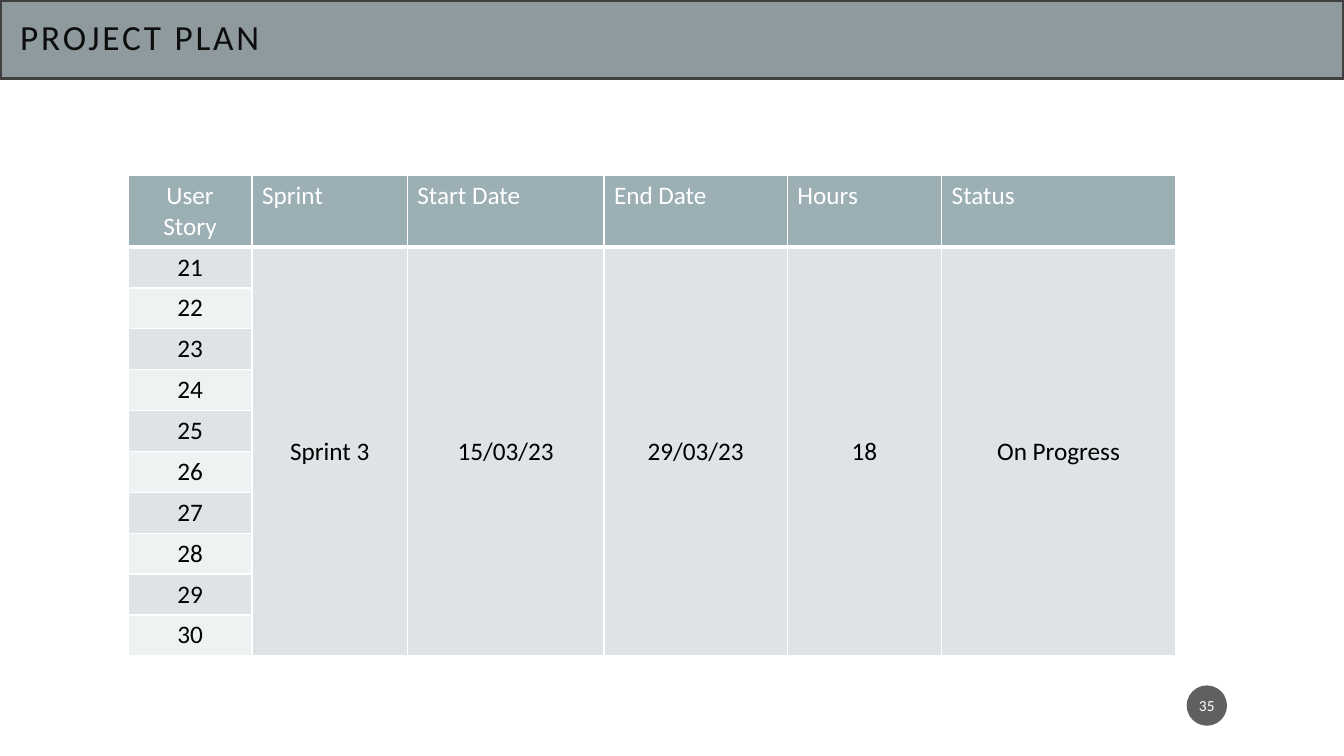
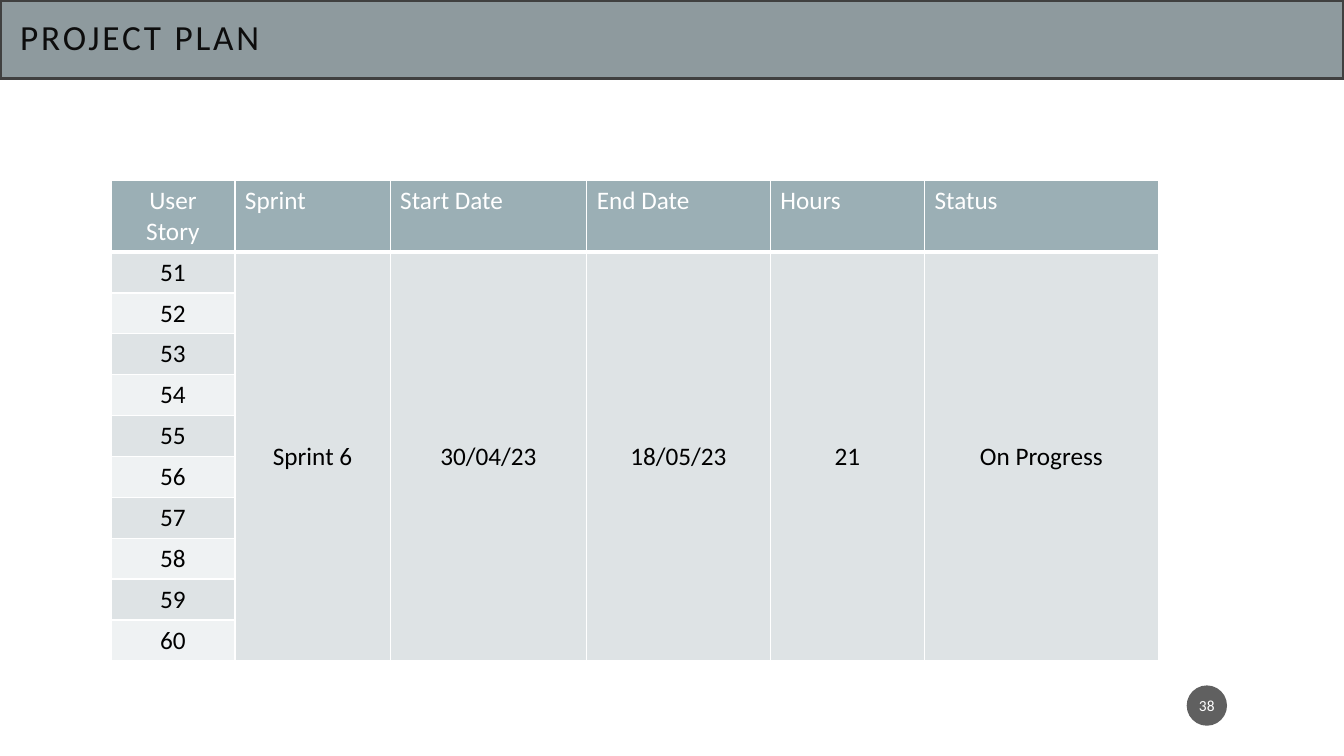
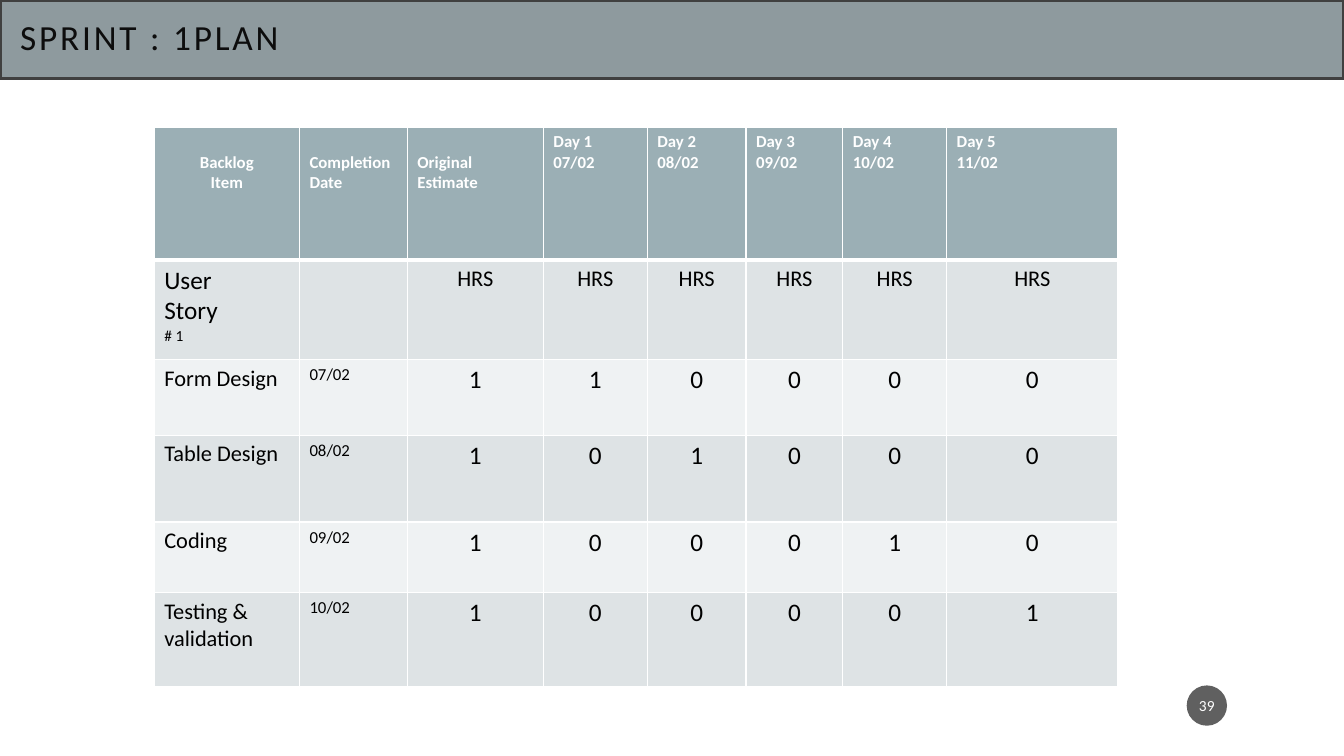
"""Builds three sprint planning slides with a shared title band and page badge."""

from dataclasses import dataclass

from pptx import Presentation
from pptx.dml.color import RGBColor as RGB
from pptx.enum.shapes import MSO_SHAPE as Shape
from pptx.enum.text import MSO_ANCHOR as Anchor, MSO_AUTO_SIZE as Fit, PP_ALIGN as Align
from pptx.oxml.ns import qn
from pptx.oxml.xmlchemy import OxmlElement as Node
from pptx.util import Inches, Pt

FONT = "Calibri"
BAND, EDGE, INK = "8E9A9E", "404040", "0D0D0D"
HEAD, DARK, PALE = "9BAFB5", "DEE3E5", "EFF2F3"
BLACK, WHITE, BADGE = "000000", "FFFFFF", "1D1D1D"
MID, LEFT = Align.CENTER, Align.LEFT


@dataclass
class Cell:
    text: str = ""
    sizes: tuple = (18,)
    align: Align = MID
    bold: bool = False
    anchor: Anchor = Anchor.TOP
    top: float = 0.05


@dataclass
class Grid:
    left: float
    top: float
    cols: list
    rows: list
    cells: list
    merged: bool = False


@dataclass
class Page:
    title: str
    number: int
    grid: Grid


def tint(part, code: str) -> None:
    part.solid()
    part.fore_color.rgb = RGB.from_string(code)


def style(para, size: float, code: str, align=LEFT, bold=False) -> None:
    para.alignment = align
    for run in para.runs:
        run.font.name = FONT
        run.font.size = Pt(size)
        run.font.bold = bold
        run.font.color.rgb = RGB.from_string(code)


def inset(frame, side: float, ends: float) -> None:
    frame.margin_left = frame.margin_right = Inches(side)
    frame.margin_top = frame.margin_bottom = Inches(ends)
    frame.vertical_anchor = Anchor.MIDDLE


def add_title(slide, text: str, width: int) -> None:
    box = slide.shapes.title
    box.left, box.top, box.width, box.height = 0, 0, width, Inches(0.78)
    tint(box.fill, BAND)
    tint(box.line.fill, EDGE)
    box.line.width = Pt(2.5)
    frame = box.text_frame
    frame.text = text
    frame.word_wrap = True
    frame.auto_size = Fit.NONE
    inset(frame, 0.2, 0.2)
    para = frame.paragraphs[0]
    para.line_spacing = 0.9
    style(para, 25.2, INK)
    para.runs[0].font._element.set("spc", "200")


def add_badge(slide, number: int) -> None:
    dot = slide.shapes.add_shape(
        Shape.OVAL, Inches(11.77), Inches(6.8), Inches(0.4), Inches(0.4))
    dot.shadow.inherit = False
    tint(dot.fill, BADGE)
    alpha = Node("a:alpha")
    alpha.set("val", "70000")
    dot.fill._xPr.find(qn("a:solidFill"))[0].append(alpha)
    dot.line.fill.background()
    dot.text_frame.text = str(number)
    inset(dot.text_frame, 0.02, 0.05)
    style(dot.text_frame.paragraphs[0], 11, WHITE, MID)


def add_edge(cell, side: str, width: float) -> None:
    line, fill, shade = Node(f"a:ln{side}"), Node("a:solidFill"), Node("a:srgbClr")
    line.set("w", str(Pt(width)))
    shade.set("val", WHITE)
    fill.append(shade)
    line.append(fill)
    cell._tc.get_or_add_tcPr().append(line)


def fill_cell(cell, item: Cell, row: int, code: str) -> None:
    thick = {"T": 3 if row == 1 else 1, "B": 3 if row == 0 else 1}
    for side in "LRTB":
        add_edge(cell, side, thick.get(side, 1))
    tint(cell.fill, code)
    cell.vertical_anchor = item.anchor
    cell.margin_top = Inches(item.top)
    cell.text_frame.text = item.text
    for n, para in enumerate(cell.text_frame.paragraphs):
        size = item.sizes[min(n, len(item.sizes) - 1)]
        style(para, size, BLACK if row else WHITE, item.align, item.bold)


def add_grid(slide, grid: Grid) -> None:
    table = slide.shapes.add_table(
        len(grid.rows), len(grid.cols), Inches(grid.left), Inches(grid.top),
        Inches(sum(grid.cols)), Inches(sum(grid.rows))).table
    table.horz_banding = False
    for col, width in zip(table.columns, grid.cols):
        col.width = Inches(width)
    for row, height in zip(table.rows, grid.rows):
        row.height = Inches(height)
    for r, line in enumerate(grid.cells):
        for c, item in enumerate(line):
            whole = grid.merged and c > 0
            code = HEAD if r == 0 else DARK if whole or r % 2 else PALE
            fill_cell(table.cell(r, c), item, r, code)
    if grid.merged:
        for c in range(1, len(grid.cols)):
            table.cell(1, c).merge(table.cell(len(grid.rows) - 1, c))


def plan(left: float, top: float, first: int, facts: list) -> Grid:
    heads = ["Sprint", "Start Date", "End Date", "Hours", "Status"]
    cells = [[Cell("User Story")] + [Cell(text, align=LEFT) for text in heads]]
    for n in range(10):
        texts = facts if n == 0 else [""] * len(facts)
        cells.append([Cell(str(first + n))]
                     + [Cell(text, anchor=Anchor.MIDDLE) for text in texts])
    return Grid(left, top, [1.23, 1.54, 1.95, 1.82, 1.53, 2.32],
                [0.7] + [0.4] * 10, cells, True)


def sprint() -> Grid:
    def head(text: str, align=LEFT, top=0.05) -> Cell:
        return Cell(text, (12,), align, True, top=top)

    days = [f"Day {n}\n{n + 6:02}/02" for n in range(1, 6)]
    cells = [
        [head("Backlog\nItem", MID, 0.25), head("Completion Date", top=0.25),
         head("Original\nEstimate", top=0.25)] + [head(day) for day in days],
        [Cell("User\nStory\n# 1", (18, 18, 11), LEFT), Cell()]
        + [Cell("HRS", (16,)) for _ in range(6)],
    ]
    tasks = [
        ("Form Design", "07/02", "110000"),
        ("Table Design", "08/02", "101000"),
        ("Coding", "09/02", "100010"),
        ("Testing & validation", "10/02", "100001"),
    ]
    for name, date, hours in tasks:
        cells.append([Cell(name, (16,), LEFT), Cell(date, (12,), LEFT)]
                     + [Cell(hour) for hour in hours])
    return Grid(1.53, 1.26, [1.44, 1.07, 1.35, 1.03, 0.98, 0.96, 1.03, 1.7],
                [1.32, 0.99, 0.75, 0.86, 0.7, 0.93], cells)


def main() -> None:
    deck = Presentation()
    deck.slide_width, deck.slide_height = Inches(13.33), Inches(7.5)
    pages = [
        Page("PROJECT PLAN", 35, plan(
            1.27, 1.74, 21, ["Sprint 3", "15/03/23", "29/03/23", "18", "On Progress"])),
        Page("PROJECT PLAN", 38, plan(
            1.1, 1.79, 51, ["Sprint 6", "30/04/23", "18/05/23", "21", "On Progress"])),
        Page("SPRINT : 1PLAN", 39, sprint()),
    ]
    for page in pages:
        slide = deck.slides.add_slide(deck.slide_layouts[5])
        add_title(slide, page.title, deck.slide_width)
        add_badge(slide, page.number)
        add_grid(slide, page.grid)
    deck.save("out.pptx")


if __name__ == "__main__":
    main()
